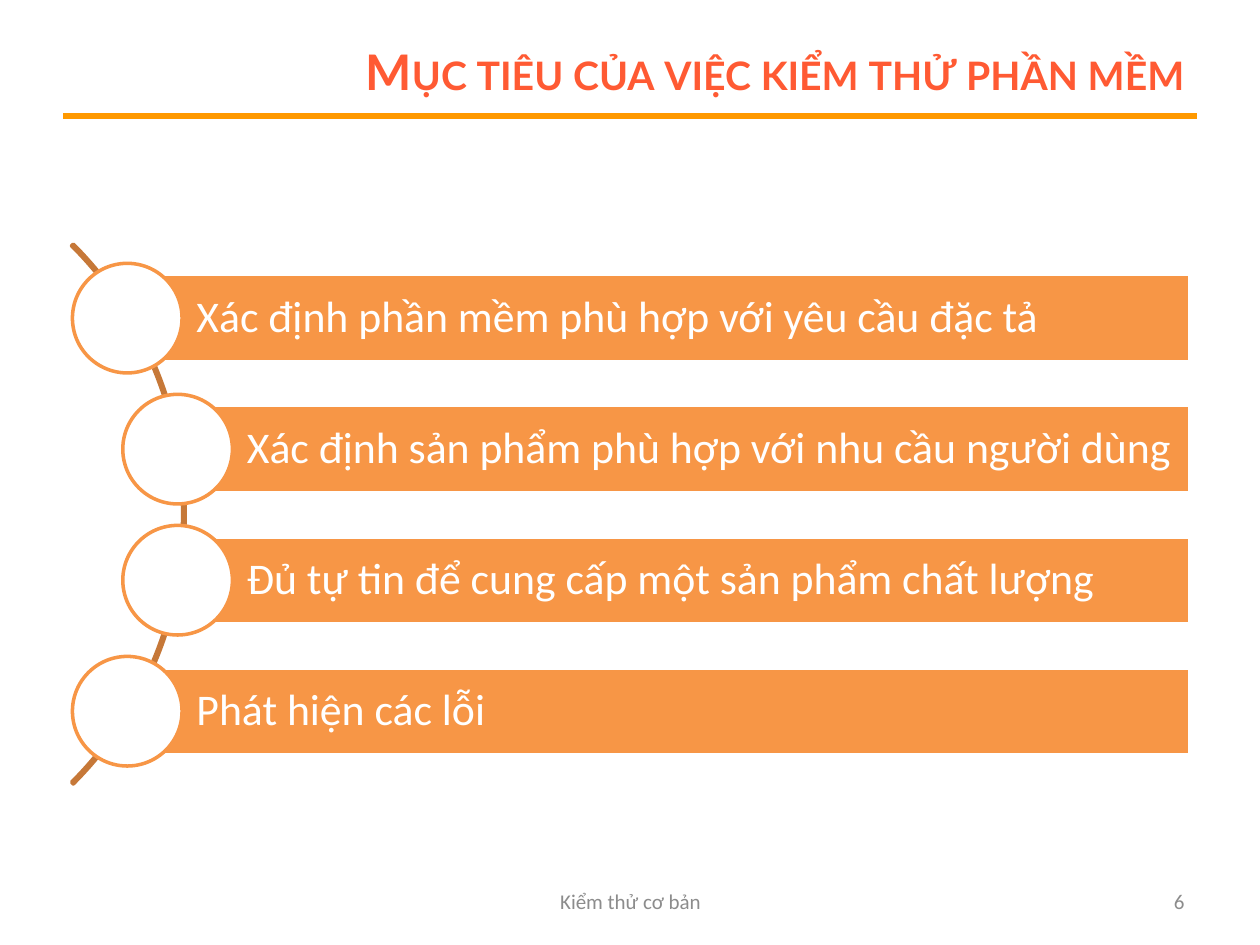
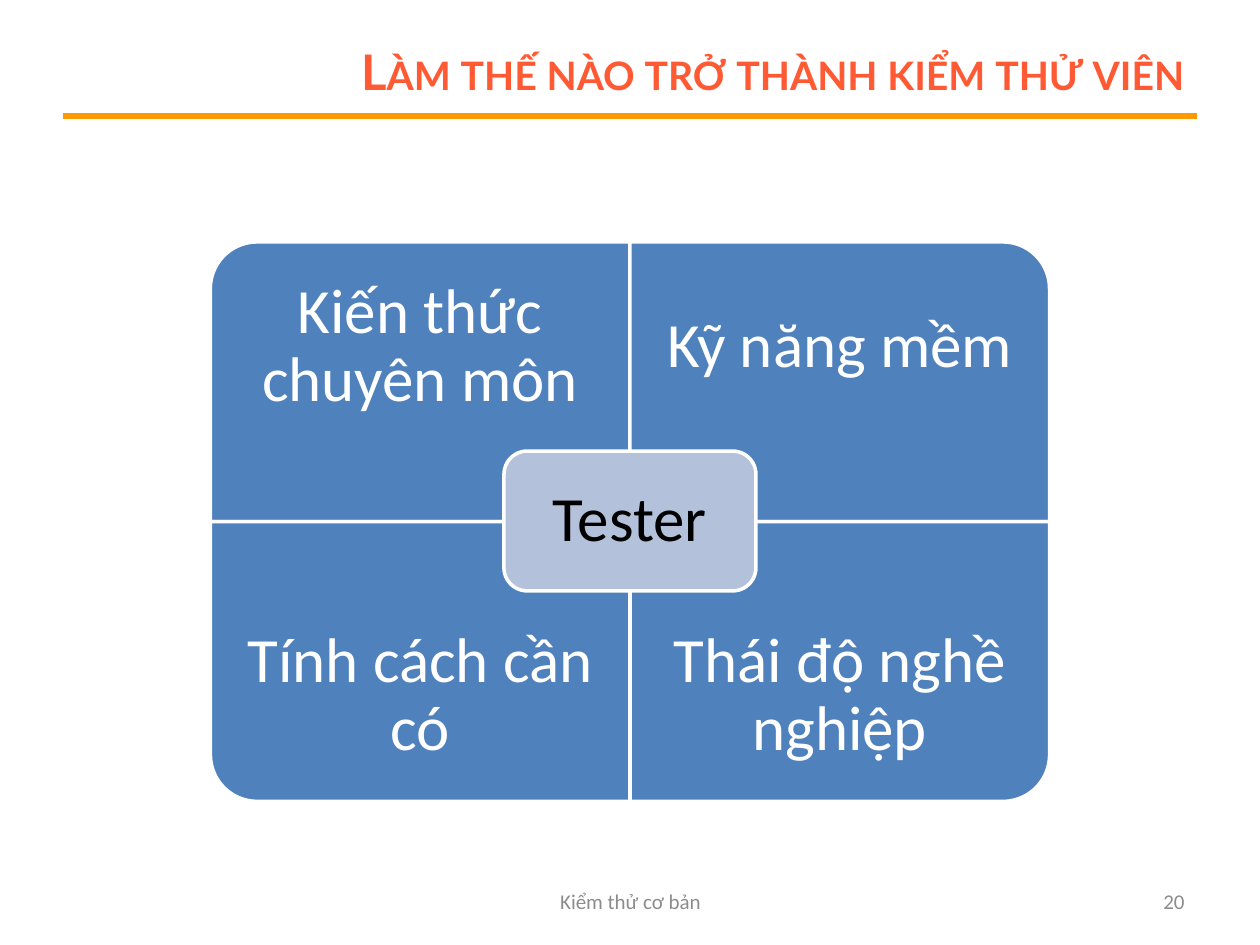
"""Build two slides on software testing: its goals and the qualities of a tester."""
import dataclasses

import pptx
import pptx.dml.color
import pptx.enum.shapes
import pptx.enum.text
import pptx.oxml.ns
import pptx.util
from lxml import etree

Inches = pptx.util.Inches
Kind = pptx.enum.shapes.MSO_SHAPE
Align = pptx.enum.text.PP_ALIGN


@dataclasses.dataclass(frozen=True)
class Theme:
    heading: str = "FF5A33"
    rule: str = "FF9900"
    bar: str = "F79646"
    arc: str = "C67838"
    quadrant: str = "4F81BD"
    center: str = "B3C1DB"
    light: str = "FFFFFF"
    dark: str = "000000"
    footer: str = "8C8C8C"
    heading_font: str = "Lato"
    body_font: str = "Calibri"
    heading_size: int = 28
    bar_size: int = 25
    quadrant_size: int = 36
    footer_size: int = 12
    outline: int = 2
    rule_width: int = 3


class Builder:
    def __init__(self, theme):
        self.theme = theme
        self.deck = pptx.Presentation()
        self.deck.slide_width = Inches(10)
        self.deck.slide_height = Inches(7.5)
        self.page = None

    def color(self, value):
        return pptx.dml.color.RGBColor.from_string(value)

    def add_text(self, shape, text, size, color, align=Align.LEFT, font=None,
                 insets=(0.1, 0.05, 0.1, 0.05), spacing=1.0):
        frame = shape.text_frame
        frame.word_wrap = True
        frame.auto_size = pptx.enum.text.MSO_AUTO_SIZE.NONE
        frame.vertical_anchor = pptx.enum.text.MSO_ANCHOR.MIDDLE
        (frame.margin_left, frame.margin_top,
         frame.margin_right, frame.margin_bottom) = map(Inches, insets)
        para = frame.paragraphs[0]
        para.alignment = align
        para.line_spacing = spacing
        span = para.add_run()
        span.text = text
        span.font.name = font or self.theme.body_font
        span.font.size = pptx.util.Pt(size)
        span.font.color.rgb = self.color(color)
        return span

    def shape(self, kind, left, top, width, height, fill, line, rotation=0):
        shape = self.page.shapes.add_shape(
            kind, Inches(left), Inches(top), Inches(width), Inches(height))
        shape.shadow.inherit = False
        shape.fill.solid()
        shape.fill.fore_color.rgb = self.color(fill)
        shape.line.color.rgb = self.color(line)
        shape.line.width = pptx.util.Pt(self.theme.outline)
        shape.rotation = rotation
        return shape

    def label(self, left, top, width, height, text, size, color, align, **style):
        box = self.page.shapes.add_textbox(
            Inches(left), Inches(top), Inches(width), Inches(height))
        self.add_text(box, text, size, color, align, **style)

    def rule(self, left, right, height):
        line = self.page.shapes.add_connector(
            pptx.enum.shapes.MSO_CONNECTOR.STRAIGHT,
            Inches(left), Inches(height), Inches(right), Inches(height))
        line.line.color.rgb = self.color(self.theme.rule)
        line.line.width = pptx.util.Pt(self.theme.rule_width)
        properties = line._element.find(pptx.oxml.ns.qn("p:spPr"))
        etree.SubElement(properties, pptx.oxml.ns.qn("a:effectLst"))

    def title(self, text):
        title = self.page.shapes.title
        title.left, title.top = Inches(2.25), Inches(0.3)
        title.width, title.height = Inches(7.25), Inches(0.53)
        span = self.add_text(title, text, self.theme.heading_size,
                             self.theme.heading, Align.RIGHT,
                             self.theme.heading_font)
        span.font.bold = True
        span._r.get_or_add_rPr().set("cap", "small")

    def start_page(self, heading, number):
        theme = self.theme
        self.page = self.deck.slides.add_slide(self.deck.slide_layouts[5])
        self.rule(0.5, 9.5, 0.92)
        self.title(heading)
        self.label(3.42, 6.95, 3.17, 0.4, "Kiểm thử cơ bản",
                   theme.footer_size, theme.footer, Align.CENTER)
        self.label(7.17, 6.95, 2.33, 0.4, str(number),
                   theme.footer_size, theme.footer, Align.RIGHT)


def add_goals(builder):
    theme = builder.theme
    builder.start_page("Mục tiêu của việc kiểm thử phần mềm", 6)
    arc_size, arc_thickness = 6.06, 0.02
    arc = builder.shape(Kind.BLOCK_ARC, -4.59, 1.05, arc_size, arc_size,
                        theme.arc, theme.arc)
    arc.adjustments[0] = 189
    arc.adjustments[1] = 27
    arc.adjustments[2] = arc_thickness / arc_size

    goals = [
        (1.01, "Xác định phần mềm phù hợp với yêu cầu đặc tả"),
        (1.41, "Xác định sản phẩm phù hợp với nhu cầu người dùng"),
        (1.41, "Đủ tự tin để cung cấp một sản phẩm chất lượng"),
        (1.01, "Phát hiện các lỗi"),
    ]
    right, first_top, step, height, diameter = 9.44, 2.18, 1.04, 0.69, 0.87
    for index, (left, goal) in enumerate(goals):
        top = first_top + index * step
        bar = builder.shape(Kind.RECTANGLE, left, top, right - left, height,
                            theme.bar, theme.light)
        builder.add_text(bar, goal, theme.bar_size, theme.light,
                         insets=(0.55, 0.07, 0.07, 0.07), spacing=0.9)
        builder.shape(Kind.OVAL, left - diameter / 2,
                      top + (height - diameter) / 2, diameter, diameter,
                      theme.light, theme.bar)


def add_tester_qualities(builder):
    theme = builder.theme
    builder.start_page("Làm thế nào trở thành kiểm thử viên", 20)
    qualities = [
        ("Kiến thức chuyên môn", 270),
        ("Kỹ năng mềm", 0),
        ("Tính cách cần có", 180),
        ("Thái độ nghề nghiệp", 90),
    ]
    left, top, width, height, text_height = 1.67, 1.92, 3.33, 2.22, 1.67
    for index, (quality, rotation) in enumerate(qualities):
        row, column = divmod(index, 2)
        x, y = left + column * width, top + row * height
        across, down = (height, width) if rotation % 180 else (width, height)
        builder.shape(Kind.ROUND_1_RECTANGLE, x + (width - across) / 2,
                      y + (height - down) / 2, across, down,
                      theme.quadrant, theme.light, rotation)
        builder.label(x, y + row * (height - text_height), width, text_height,
                      quality, theme.quadrant_size, theme.light, Align.CENTER,
                      insets=(0.28,) * 4, spacing=0.9)

    center = builder.shape(Kind.ROUNDED_RECTANGLE, 4, 3.58, 2, 1.11,
                           theme.center, theme.light)
    builder.add_text(center, "Tester", theme.quadrant_size, theme.dark,
                     Align.CENTER, insets=(0.15,) * 4, spacing=0.9)


def main():
    builder = Builder(Theme())
    add_goals(builder)
    add_tester_qualities(builder)
    builder.deck.save("out.pptx")


if __name__ == "__main__":
    main()
